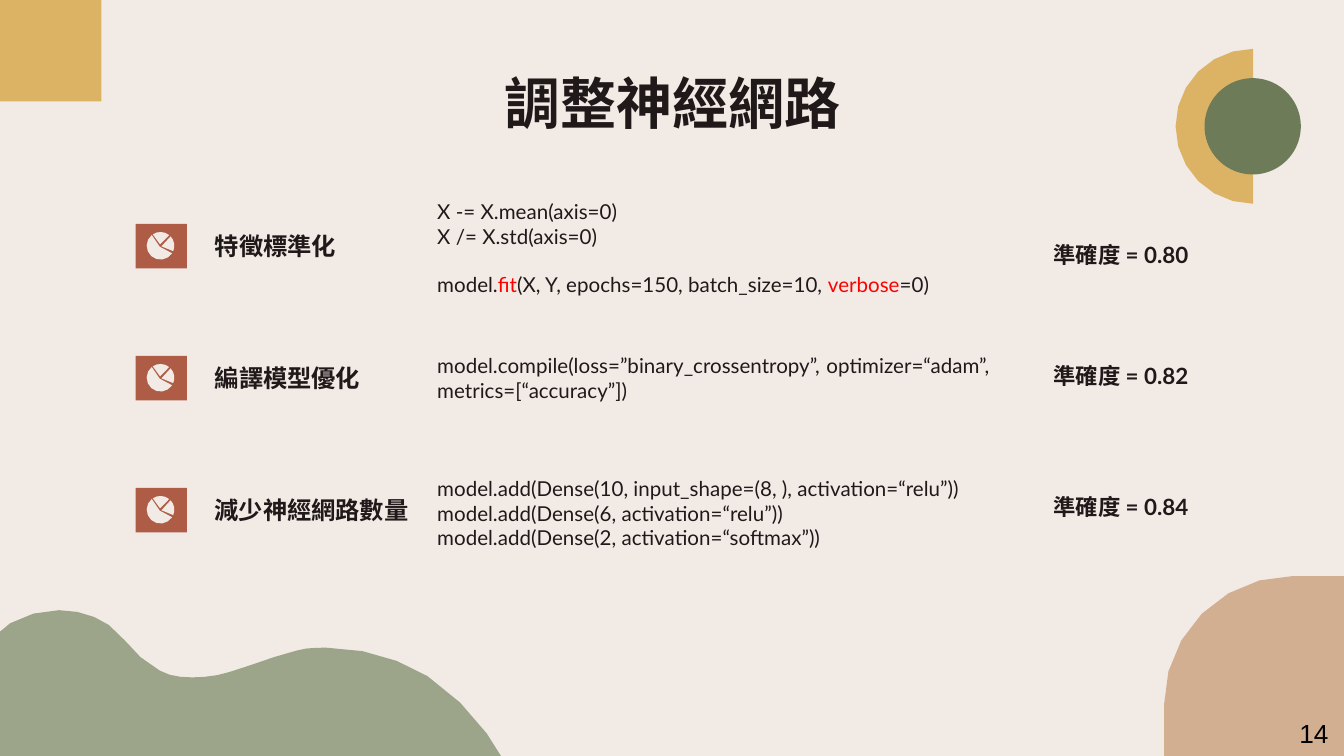
"""Build the slide on tuning a neural network."""
from dataclasses import dataclass
from math import cos, radians, sin
from typing import NamedTuple

from pptx import Presentation
from pptx.dml.color import RGBColor
from pptx.enum.shapes import MSO_SHAPE as Form
from pptx.enum.text import MSO_ANCHOR as Anchor, MSO_AUTO_SIZE as Fit, PP_ALIGN as Align
from pptx.util import Pt

PAPER = RGBColor(0xF1, 0xEA, 0xE5)
INK = RGBColor(0x1F, 0x19, 0x1A)
BLACK = RGBColor(0, 0, 0)
RED = RGBColor(0xFF, 0, 0)
GOLD = RGBColor(0xDC, 0xB3, 0x64)
TAN = RGBColor(0xD3, 0xAF, 0x92)
SAGE = RGBColor(0x9C, 0xA5, 0x89)
MOSS = RGBColor(0x6E, 0x7B, 0x59)
RUST = RGBColor(0xAF, 0x5C, 0x46)


class Box(NamedTuple):
    left: float
    top: float
    width: float
    height: float


class Run(NamedTuple):
    text: str
    color: RGBColor = INK


class Line(NamedTuple):
    runs: list[Run]
    gap: float = 0


class Style(NamedTuple):
    font: str
    size: float
    bold: bool = False
    align: Align = Align.LEFT
    anchor: Anchor = Anchor.TOP
    inset: float = 7.2


@dataclass
class Row:
    label: str
    width: float
    code: list[Line]
    place: Box
    score: str
    level: float


class Slice(NamedTuple):
    hub: tuple[float, float]
    start: float
    end: float
    steps: int


HEAD = Style("Manrope", 30, True, Align.CENTER)
LABEL = Style("Manrope", 13, True, anchor=Anchor.BOTTOM)
CODE = Style("Lato", 11, align=Align.JUSTIFY)
SCORE = Style("Lato", 12, True, Align.JUSTIFY)
PAGE = Style("Arial", 14, inset=3.6)

FIRST, PITCH = 120, 70.7
SLICES = [
    Slice((-0.4, 0.5), 33, 231, 8),
    Slice((-0.2, -0.8), 236, 309, 4),
    Slice((0.5, 0.3), 317, 383, 4),
]
WAVE = [
    ((262.1, 392.4), (248.4, 375.1), (229, 362.2)),
    ((213.8, 352.8), (194.4, 347), (175, 347)),
    ((169.9, 347), (164.2, 347), (159.1, 348.5)),
    ((146.9, 351.4), (135.4, 356.4), (123.1, 360)),
    ((116.6, 362.2), (109.4, 362.9), (103, 362.9)),
    ((96.5, 362.9), (90.7, 362.2), (85.7, 359.3)),
    ((73.4, 353.5), (68.4, 342.7), (58.3, 334.8)),
    ((51.1, 329.8), (41.8, 326.9), (31.7, 326.9)),
    ((18, 326.9), (3.6, 332.6), (-4.3, 342)),
]
ROWS = [
    Row("特徵標準化", 97.2, [
        Line([Run("X -= X.mean(axis=0)")]),
        Line([Run("X /= X.std(axis=0)")]),
        Line([Run("model."), Run("fit", RED),
              Run("(X, Y, epochs=150, batch_size=10, "),
              Run("verbose", RED), Run("=0)")], 12.6),
    ], Box(227.1, 99.4, 287.3, 70.6), "0.80", 122),
    Row("編譯模型優化", 97.2, [
        Line([Run("model.compile(loss=”binary_crossentropy”, "
                  "optimizer=“adam”, metrics=[“accuracy”])")]),
    ], Box(227.1, 181.9, 310.3, 47.5), "0.82", 186.8),
    Row("減少神經網路數量", 119.5, [
        Line([Run("model.add(Dense(10, input_shape=(8, ), activation=“relu”))")]),
        Line([Run("model.add(Dense(6, activation=“relu”))")]),
        Line([Run("model.add(Dense(2, activation=“softmax”))")]),
    ], Box(227.1, 247.8, 310.3, 53.3), "0.84", 257),
]


def paint(shape, color: RGBColor) -> None:
    """Give a shape a flat fill."""
    shape.shadow.inherit = False
    shape.fill.solid()
    shape.fill.fore_color.rgb = color
    shape.line.fill.background()


def block(shapes, form: Form, box: Box, color: RGBColor) -> None:
    """Add a preset shape."""
    paint(shapes.add_shape(form, *map(Pt, box)), color)


def carve(shapes, points: list, color: RGBColor) -> None:
    """Add a closed outline."""
    start, *rest = [(Pt(x), Pt(y)) for x, y in points]
    pen = shapes.build_freeform(*start)
    pen.add_line_segments(rest)
    paint(pen.convert_to_shape(), color)


def arc(x: float, y: float, size: float, start: float, end: float, steps: int) -> list:
    """Return points along a circle."""
    turns = [radians(start + (end - start) * i / steps) for i in range(steps + 1)]
    return [(x + size * cos(t), y + size * sin(t)) for t in turns]


def bend(points: list, steps: int = 3) -> list:
    """Return points along a cubic curve."""
    marks = [i / steps for i in range(1, steps + 1)]
    return [tuple((1 - t) ** 3 * a + 3 * t * (1 - t) ** 2 * b
                  + 3 * t * t * (1 - t) * c + t ** 3 * d
                  for a, b, c, d in zip(*points)) for t in marks]


def write(frame, lines: list[Line], style: Style) -> None:
    """Write styled lines in a text frame."""
    frame.word_wrap = True
    frame.auto_size = Fit.NONE
    frame.vertical_anchor = style.anchor
    frame.margin_left = frame.margin_right = Pt(7.2)
    frame.margin_top = frame.margin_bottom = Pt(style.inset)
    for i, line in enumerate(lines):
        para = frame.add_paragraph() if i else frame.paragraphs[0]
        para.alignment = style.align
        para.space_before = Pt(line.gap)
        for part in line.runs:
            run = para.add_run()
            run.text = part.text
            font = run.font
            font.name, font.size, font.bold = style.font, Pt(style.size), style.bold
            font.color.rgb = part.color


def note(shapes, box: Box, lines: list[Line], style: Style) -> None:
    """Add a text box."""
    write(shapes.add_textbox(*map(Pt, box)).text_frame, lines, style)


def icon(shapes, top: float) -> None:
    """Draw a tile with a sliced pie."""
    group = shapes.add_group_shape().shapes
    block(group, Form.RECTANGLE, Box(72.7, top, 27.4, 23.8), RUST)
    x, y = 86, top + 11.7
    for (across, down), start, end, steps in SLICES:
        carve(group, [(x + across, y + down), *arc(x, y, 7.4, start, end, steps)], PAPER)


def decor(shapes) -> None:
    """Draw the corner art."""
    block(shapes, Form.RECTANGLE, Box(0, 0, 54.4, 54.4), GOLD)
    carve(shapes, [*arc(692.6, 377.6, 69, 180, 270, 6),
                   (720, 308.6), (720, 405), (623.6, 405)], TAN)
    wave = [(272.2, 411)]
    for curve in WAVE:
        wave += bend([wave[-1], *curve])
    carve(shapes, [*wave, (-4.3, 411)], SAGE)
    group = shapes.add_group_shape().shapes
    carve(group, arc(671.3, 67.7, 41.5, 90, 270, 12), GOLD)
    block(group, Form.OVAL, Box(645.3, 41.9, 51.6, 51.6), MOSS)


def main() -> None:
    """Build and save the deck."""
    deck = Presentation()
    deck.slide_width, deck.slide_height = Pt(720), Pt(405)
    slide = deck.slides.add_slide(deck.slide_layouts[5])
    slide.background.fill.solid()
    slide.background.fill.fore_color.rgb = PAPER
    shapes = slide.shapes
    decor(shapes)
    title = shapes.title
    title.left, title.top, title.width, title.height = map(Pt, (56.6, 29.5, 607, 51.8))
    write(title.text_frame, [Line([Run("調整神經網路")])], HEAD)
    for i, row in enumerate(ROWS):
        top = FIRST + PITCH * i
        icon(shapes, top)
        note(shapes, Box(108, top, row.width, 26.6), [Line([Run(row.label)])], LABEL)
        note(shapes, row.place, row.code, CODE)
        note(shapes, Box(557.3, row.level, 100, 24.5),
             [Line([Run(f"準確度 = {row.score}")])], SCORE)
    note(shapes, Box(689, 380.9, 31, 24.1), [Line([Run("14", BLACK)])], PAGE)
    deck.save("out.pptx")


if __name__ == "__main__":
    main()
